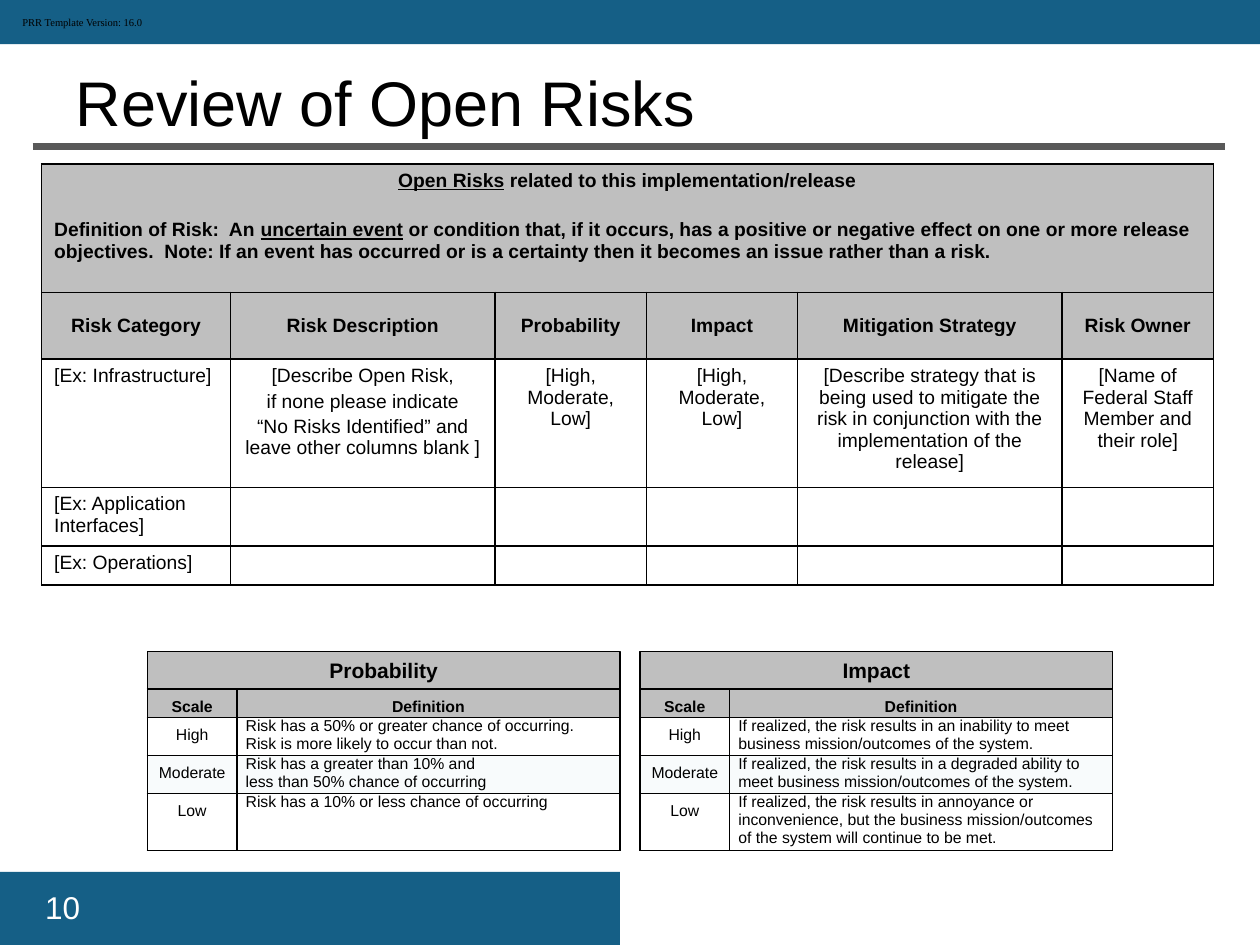
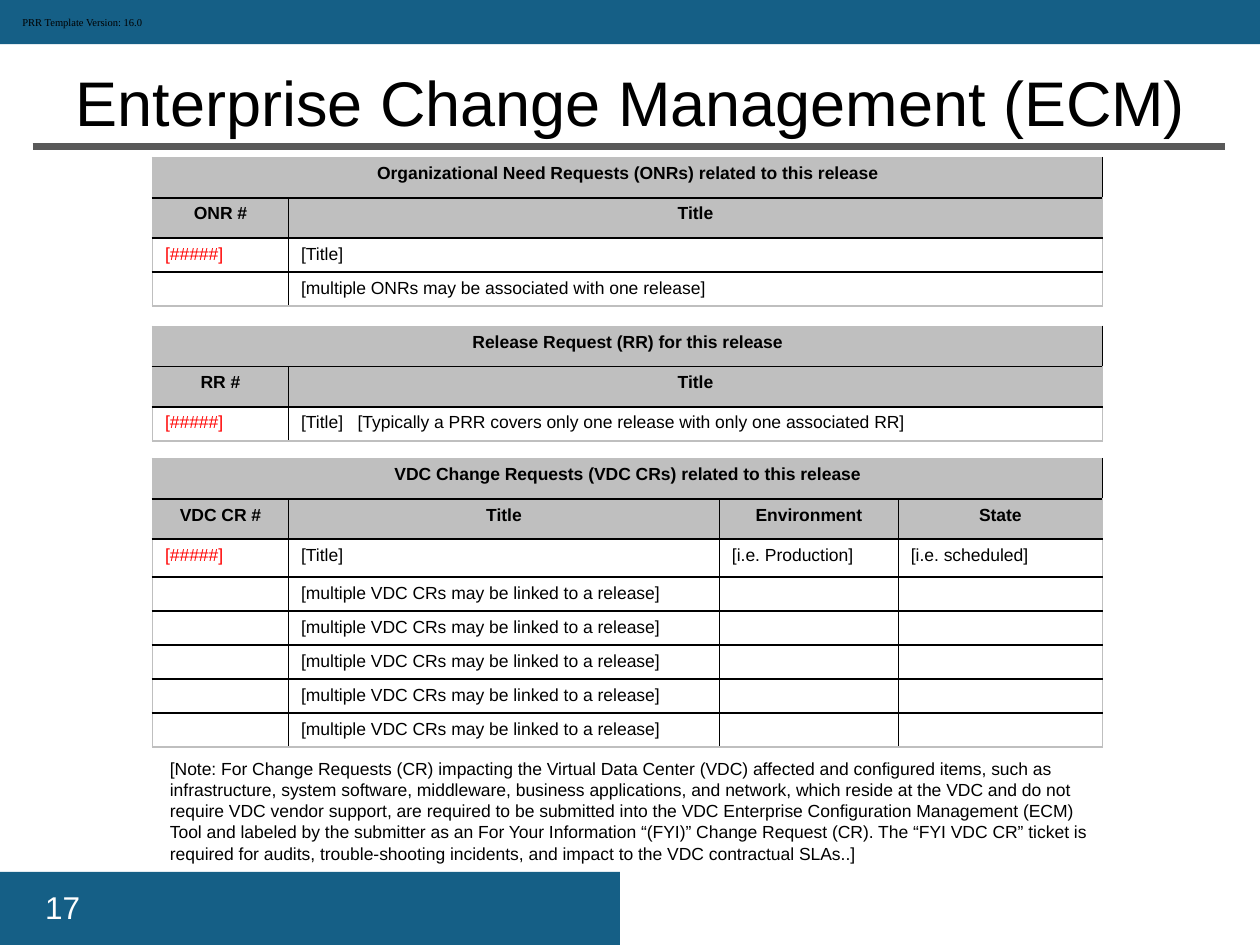
from dataclasses import dataclass

from lxml import etree
from pptx import Presentation
from pptx import util as u
from pptx.dml.color import RGBColor
from pptx.enum import shapes, text
from pptx.oxml import ns

COLORS = {"band": "155F86", "rule": "595959", "head": "BFBFBF", "tint": "F8FBFC",
          "paper": "FFFFFF", "ink": "000000", "id": "FF0000"}
LEFT, CENTER = text.PP_ALIGN.LEFT, text.PP_ALIGN.CENTER
TOP, MIDDLE = text.MSO_ANCHOR.TOP, text.MSO_ANCHOR.MIDDLE
WIDTH, HEIGHT = 10, 7.5


@dataclass
class GridStyle:
    """Look shared by all cells of one kind of table."""
    size: float
    margins: tuple = (0.1, 0.05)
    aligns: tuple = (LEFT, LEFT)     # first column, other columns
    banner: bool = True              # first row spans all columns
    head_anchor: object = TOP
    edge: str = "ink"
    label_spacing: float = 1.0       # headings and first column
    gap: float = 0                   # points between paragraphs
    banner_gap: float = 0
    tinted_row: int = -1


RISKS = GridStyle(11, aligns=(LEFT, CENTER), head_anchor=MIDDLE, gap=2.2, banner_gap=16)
SCALE = GridStyle(9, margins=(0.07, 0), aligns=(CENTER, LEFT), banner=False,
                  label_spacing=1.5, tinted_row=2)
REQUESTS = GridStyle(10, edge="head")


def rgb(name):
    return RGBColor.from_string(COLORS[name])


def box(left, top, width, height):
    return [u.Inches(n) for n in (left, top, width, height)]


def write(paragraph, words, size, color="ink", bold=False, font="Arial"):
    """Add runs; words between underscores are underlined."""
    for i, part in enumerate(words.split("_")):
        if not part:
            continue
        run = paragraph.add_run()
        run.text = part
        formats = {"name": font, "size": u.Pt(size), "bold": bold, "underline": i % 2 == 1}
        for key, value in formats.items():
            setattr(run.font, key, value)
        run.font.color.rgb = rgb(color)


def add_text(slide, place, words, size, wrap=True, **look):
    frame = slide.shapes.add_textbox(*box(*place)).text_frame
    frame.word_wrap = wrap
    write(frame.paragraphs[0], words, size, **look)


def add_block(slide, place, fill, line=None):
    block = slide.shapes.add_shape(shapes.MSO_SHAPE.RECTANGLE, *box(*place))
    block.shadow.inherit = False
    block.fill.solid()
    block.fill.fore_color.rgb = rgb(fill)
    if line:
        block.line.color.rgb = rgb(line)
        block.line.width = u.Pt(0.75)
    else:
        block.line.fill.background()
    return block


def add_rule(slide, left, right, top):
    rule = slide.shapes.add_connector(
        shapes.MSO_CONNECTOR.STRAIGHT, *box(left, top, right, top))
    rule.line.color.rgb = rgb("rule")
    rule.line.width = u.Pt(4)
    etree.SubElement(rule._element.spPr, ns.qn("a:effectLst"))


def set_borders(cell, colors):
    """Draw left, right, top and bottom borders in the given colours."""
    properties = cell._tc.get_or_add_tcPr()
    for i, (side, color) in enumerate(zip("LRTB", colors)):
        line = etree.Element(ns.qn(f"a:ln{side}"), w=str(u.Pt(1)))
        fill = etree.SubElement(line, ns.qn("a:solidFill"))
        etree.SubElement(fill, ns.qn("a:srgbClr"), val=COLORS[color])
        properties.insert(i, line)


def fill_cell(cell, words, row, col, style):
    banner = style.banner and row == 0
    heading = row < (2 if style.banner else 1)
    across, down = (u.Inches(m) for m in style.margins)
    formats = {"margin_left": across, "margin_right": across,
               "margin_top": down, "margin_bottom": down,
               "vertical_anchor": style.head_anchor if heading and not banner else TOP}
    for key, value in formats.items():
        setattr(cell, key, value)
    cell.fill.solid()
    cell.fill.fore_color.rgb = rgb(
        "head" if heading else "tint" if row == style.tinted_row else "paper")

    frame = cell.text_frame
    for i, line in enumerate(words.split("\n")):
        paragraph = frame.add_paragraph() if i else frame.paragraphs[0]
        paragraph.alignment = style.aligns[min(col, 1)]
        if heading:
            paragraph.alignment = LEFT if i else CENTER
        if heading or col == 0:
            paragraph.line_spacing = style.label_spacing
        if i:
            paragraph.space_before = u.Pt(style.banner_gap if banner else style.gap)
        if line:
            write(paragraph, line, style.size, "id" if line.startswith("[#") else "ink", heading)
        else:
            etree.SubElement(paragraph._p, ns.qn("a:endParaRPr"), sz=str(style.size * 100))


def add_grid(slide, left, top, cols, heights, content, style):
    """Add a table; short content rows are filled up with empty cells."""
    table = slide.shapes.add_table(
        len(heights), len(cols), *box(left, top, sum(cols), sum(heights))).table
    table.first_row = table.horz_banding = False
    for column, width in zip(table.columns, cols):
        column.width = u.Inches(width)
    for row, height in zip(table.rows, heights):
        row.height = u.Inches(height)
    last_row, last_col = len(heights) - 1, len(cols) - 1
    for r, words in enumerate(content):
        for c in range(len(cols)):
            cell = table.cell(r, c)
            fill_cell(cell, words[c] if c < len(words) else "", r, c, style)
            outside = (c == 0, c == last_col, r == 0, r == last_row)
            set_borders(cell, [style.edge if out else "ink" for out in outside])
    if style.banner:
        table.cell(0, 0).merge(table.cell(0, last_col))


def start_slide(deck, title, number):
    """Add a slide with the bands, rule, title and number that all slides share."""
    slide = deck.slides.add_slide(deck.slide_layouts[5])
    add_block(slide, (0, 6.92, 4.92, HEIGHT - 6.92), "band")
    add_block(slide, (0, 0, WIDTH, 0.35), "band")
    add_rule(slide, 0.26, 9.72, 1.16)
    add_text(slide, (0.26, 7, 2.19, 0.4), number, 18, color="paper")
    add_text(slide, (0.08, 0.08, 1.17, 0.2), "PRR Template Version: 16.0", 6,
             wrap=False, font="Times New Roman")
    heading = slide.shapes.title
    heading.left, heading.top, heading.width, heading.height = box(0.5, 0.45, 9.35, 0.71)
    heading.text_frame.vertical_anchor = MIDDLE
    heading.text_frame.paragraphs[0].alignment = LEFT
    write(heading.text_frame.paragraphs[0], title, 36)
    return slide


def add_scale(slide, left, name, definitions):
    """Add a titled table that defines the High, Moderate and Low levels."""
    cols = (0.71, 3.04)
    add_grid(slide, left, 5.47, cols, (0.22, 0.3, 0.3, 0.45),
             [("Scale", "Definition"), *zip(("High", "Moderate", "Low"), definitions)], SCALE)
    header = add_block(slide, (left, 5.17, sum(cols), 0.3), "head", "ink").text_frame
    header.vertical_anchor = MIDDLE
    header.paragraphs[0].alignment = CENTER
    write(header.paragraphs[0], name, 12, bold=True)


def build_risks(deck):
    slide = start_slide(deck, "Review of Open Risks", "10")
    levels = "[High, Moderate, Low]"
    add_grid(slide, 0.33, 1.3, (1.5, 2.1, 1.2, 1.2, 2.1, 1.2), (1.02, 0.53, 0.95, 0.44, 0.31), [
        ("_Open Risks_ related to this implementation/release\n"
         "Definition of Risk:  An _uncertain event_ or condition that, if it occurs, has a "
         "positive or negative effect on one or more release objectives.  Note: If an event "
         "has occurred or is a certainty then it becomes an issue rather than a risk.",),
        ("Risk Category", "Risk Description", "Probability", "Impact",
         "Mitigation Strategy", "Risk Owner"),
        ("[Ex: Infrastructure]",
         "[Describe Open Risk,\nif none please indicate\n"
         "“No Risks Identified” and leave other columns blank ]",
         levels, levels,
         "[Describe strategy that is being used to mitigate the risk in conjunction with "
         "the implementation of the release]",
         "[Name of Federal Staff Member and their role]"),
        ("[Ex: Application Interfaces]",),
        ("[Ex: Operations]",),
    ], RISKS)
    add_scale(slide, 1.17, "Probability", (
        "Risk has a 50% or greater chance of occurring.\nRisk is more likely to occur than not.",
        "Risk has a greater than 10% and\nless than 50% chance of occurring",
        "Risk has a 10% or less chance of occurring"))
    add_scale(slide, 5.08, "Impact", (
        "If realized, the risk results in an inability to meet business mission/outcomes "
        "of the system.",
        "If realized, the risk results in a degraded ability to meet business "
        "mission/outcomes of the system.",
        "If realized, the risk results in annoyance or inconvenience, but the business "
        "mission/outcomes of the system will continue to be met."))


def build_changes(deck):
    slide = start_slide(deck, "Enterprise Change Management (ECM)", "17")
    left, head, line = 1.21, [0.32] * 2, 0.27
    ticket = "[#####]"
    # Need requests
    add_grid(slide, left, 1.25, (1.08, 6.46), head + [line] * 2, [
        ("Organizational Need Requests (ONRs) related to this release",),
        ("ONR #", "Title"),
        (ticket, "[Title]"),
        ("", "[multiple ONRs may be associated with one release]"),
    ], REQUESTS)
    # Release request
    add_grid(slide, left, 2.59, (1.08, 6.46), head + [line], [
        ("Release Request (RR) for this release",),
        ("RR #", "Title"),
        (ticket, "[Title]   [Typically a PRR covers only one release with only one associated RR]"),
    ], REQUESTS)
    # Change requests
    add_grid(slide, left, 3.64, (1.08, 3.42, 1.42, 1.62), head + [0.3] + [line] * 5, [
        ("VDC Change Requests (VDC CRs) related to this release",),
        ("VDC CR #", "Title", "Environment", "State"),
        (ticket, "[Title]", "[i.e. Production]", "[i.e. scheduled]"),
        *[("", "[multiple VDC CRs may be linked to a release]")] * 5,
    ], REQUESTS)
    add_text(slide, (1.25, 5.97, 7.54, 0.94),
             "[Note: For Change Requests (CR) impacting the Virtual Data Center (VDC) affected "
             "and configured items, such as infrastructure, system software, middleware, "
             "business applications, and network, which reside at the VDC and do not require "
             "VDC vendor support, are required to be submitted into the VDC Enterprise "
             "Configuration Management (ECM) Tool and labeled by the submitter as an For Your "
             "Information “(FYI)” Change Request (CR). The “FYI VDC CR” ticket is required for "
             "audits, trouble-shooting incidents, and impact to the VDC contractual SLAs..]", 10)


def main():
    deck = Presentation()
    deck.slide_width, deck.slide_height = u.Inches(WIDTH), u.Inches(HEIGHT)
    build_risks(deck)
    build_changes(deck)
    deck.save("out.pptx")


main()
